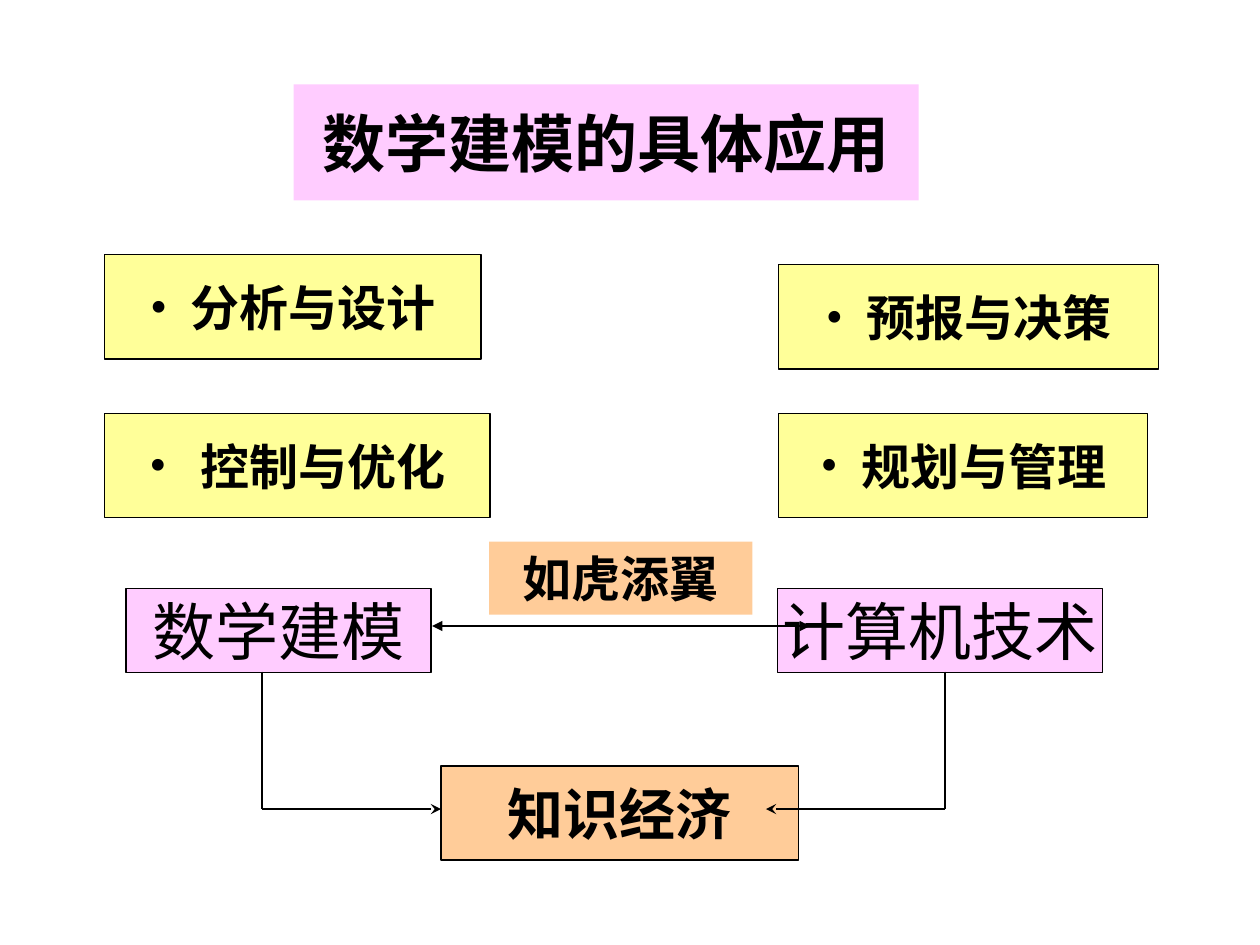
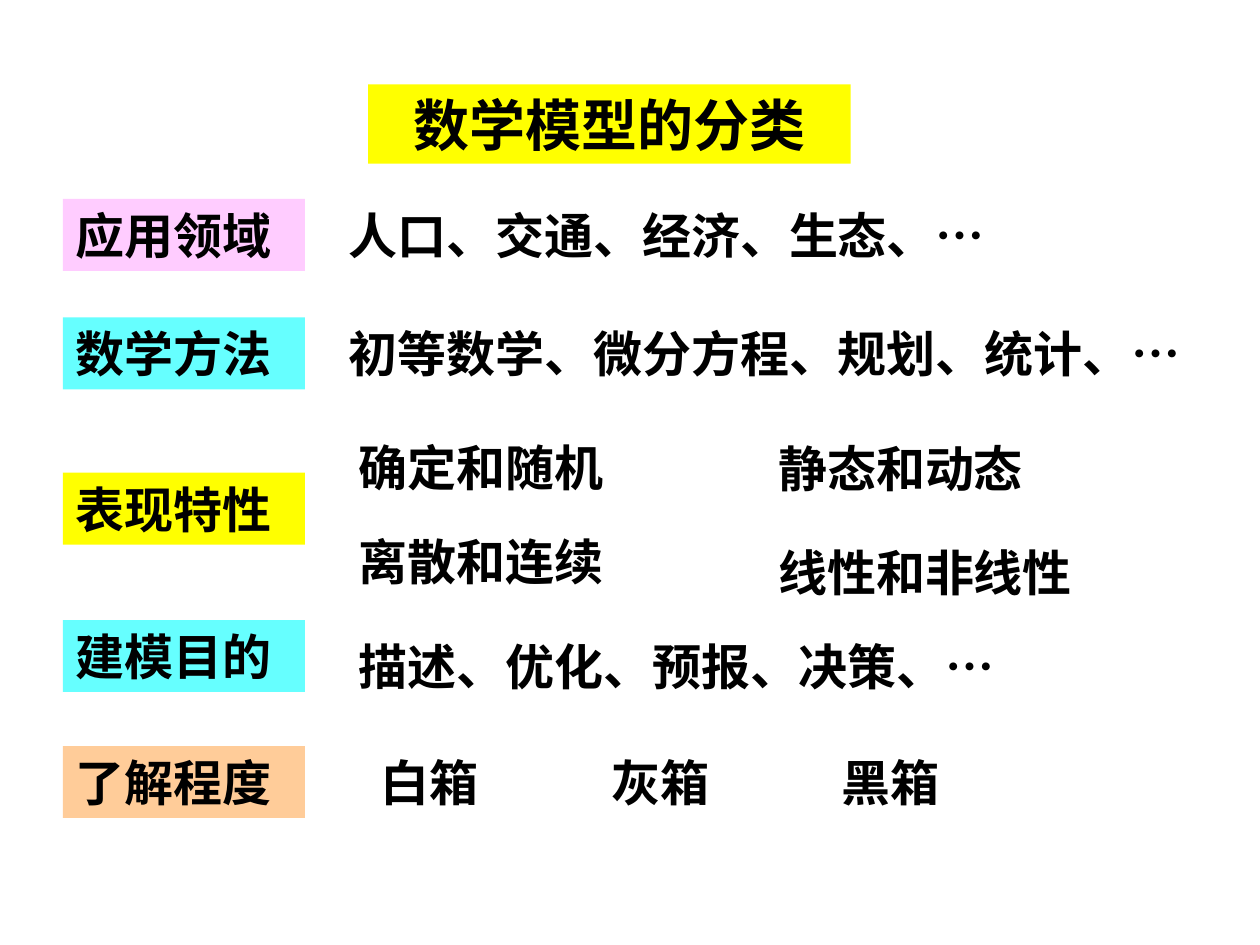
from lxml import etree
from pptx import Presentation
from pptx.dml.color import RGBColor
from pptx.enum.shapes import MSO_CONNECTOR, MSO_SHAPE
from pptx.enum.text import MSO_ANCHOR, MSO_AUTO_SIZE, PP_ALIGN
from pptx.oxml.ns import qn
from pptx.util import Cm, Pt

RECT, LINE = MSO_SHAPE.RECTANGLE, MSO_CONNECTOR.STRAIGHT
MID, FIXED = MSO_ANCHOR.MIDDLE, MSO_AUTO_SIZE.NONE
LEFT, CENTER = PP_ALIGN.LEFT, PP_ALIGN.CENTER

BLACK = RGBColor(0x00, 0x00, 0x00)
PINK = RGBColor(0xFF, 0xCC, 0xFF)
CREAM = RGBColor(0xFF, 0xFF, 0x99)
PEACH = RGBColor(0xFF, 0xCC, 0x99)
YELLOW = RGBColor(0xFF, 0xFF, 0x00)
CYAN = RGBColor(0x66, 0xFF, 0xFF)

HAN, ROMAN = "Noto Sans CJK SC", "Times New Roman"
EDGE = Pt(0.75)

# Applications: text, left, top, width, gap after the bullet
USE_H = 2.11
USES = [
    ("分析与设计", 2.11, 5.13, 7.59, 0.82),
    ("预报与决策", 15.7, 5.33, 7.65, 0.82),
    ("控制与优化", 2.11, 8.33, 7.77, 1.03),
    ("规划与管理", 15.7, 8.33, 7.44, 0.82),
]
# Diagram: text, place, fill, size, bold, outlined
NODES = [
    ("数学建模", (2.54, 11.86, 6.15, 1.7), PINK, 36, False, True),
    ("计算机技术", (15.67, 11.86, 6.55, 1.7), PINK, 36, False, True),
    ("知识经济", (8.89, 15.44, 7.21, 1.9), PEACH, 32, True, True),
    ("如虎添翼", (9.86, 10.92, 5.31, 1.47), PEACH, 28, True, False),
]
# Lines: start, end, arrowheads
LINK = ((8.71, 12.62), (16.33, 12.62), {"headEnd": "triangle", "tailEnd": "triangle"})
DROP, FLOOR = 13.54, 16.31
ELBOWS = [(5.28, 8.89), (19.05, 15.44)]

# Classes: label, top, fill, then texts as (text, left, top, width)
LABEL_X, LABEL_W, ROW_H = 1.27, 4.88, 1.45
KINDS = [
    ("应用领域", 4.01, PINK, [("人口、交通、经济、生态、…", 6.78, 4.01, 14.17)]),
    ("数学方法", 6.4, CYAN, [("初等数学、微分方程、规划、统计、…", 6.78, 6.4, 17.58)]),
    ("表现特性", 9.53, YELLOW, [
        ("确定和随机", 6.98, 8.69, 5.51), ("静态和动态", 15.44, 8.71, 5.51),
        ("离散和连续", 6.98, 10.59, 5.51), ("线性和非线性", 15.44, 10.8, 6.78)]),
    ("建模目的", 12.5, CYAN, [("描述、优化、预报、决策、…", 6.98, 12.7, 17.15)]),
    ("了解程度", 15.04, PEACH, [
        (word, 7.42 + 4.65 * i, 15.04, 2.74)
        for i, word in enumerate(["白箱", "灰箱", "黑箱"])]),
]


def put(item, values):
    for key, value in values.items():
        setattr(item, key, value)


def write(shape, text, size=28, bold=True, align=CENTER, face=ROMAN, pad=0, gap=0):
    """Fill a shape with one formatted line; a gap adds a bullet."""
    frame = shape.text_frame
    put(frame, {"text": text, "auto_size": FIXED, "word_wrap": True,
                "vertical_anchor": MID, "margin_left": Cm(pad), "margin_right": Cm(pad),
                "margin_top": 0, "margin_bottom": 0})
    para = frame.paragraphs[0]
    put(para, {"alignment": align, "space_before": Pt(0), "line_spacing": 1.0})
    if gap:
        props = para._p.get_or_add_pPr()
        props.set("marL", str(Cm(gap)))
        props.set("indent", str(-Cm(gap)))
        etree.SubElement(props, qn("a:buFont")).set("typeface", ROMAN)
        etree.SubElement(props, qn("a:buChar")).set("char", "•")
    run = para.runs[0]
    put(run.font, {"size": Pt(size), "bold": bold, "name": face})
    run.font.color.rgb = BLACK
    props = run._r.get_or_add_rPr()
    props.set("lang", "zh-CN")
    east = etree.Element(qn("a:ea"))
    east.set("typeface", HAN)
    props.find(qn("a:latin")).addnext(east)


def paint(shape, fill):
    shape.fill.solid()
    shape.fill.fore_color.rgb = fill


def box(slide, text, place, fill, edge=False, **style):
    shape = slide.shapes.add_shape(RECT, *map(Cm, place))
    shape.shadow.inherit = False
    paint(shape, fill)
    if edge:
        shape.line.color.rgb = BLACK
        shape.line.width = EDGE
    else:
        shape.line.fill.background()
    write(shape, text, **style)


def line(slide, start, end, heads):
    link = slide.shapes.add_connector(LINE, *map(Cm, start + end))
    link.line.color.rgb = BLACK
    link.line.width = EDGE
    stroke = link.line._get_or_add_ln()
    for tag, kind in heads.items():
        etree.SubElement(stroke, qn("a:" + tag)).set("type", kind)
    etree.SubElement(link._element.spPr, qn("a:effectLst"))


def page(deck, text, place, fill, **style):
    slide = deck.slides.add_slide(deck.slide_layouts[5])
    title = slide.shapes.title
    put(title, dict(zip(("left", "top", "width", "height"), map(Cm, place))))
    paint(title, fill)
    write(title, text, **style)
    return slide


def main():
    deck = Presentation()
    put(deck, {"slide_width": Cm(25.4), "slide_height": Cm(19.05)})

    # Applications
    slide = page(deck, "数学建模的具体应用", (5.92, 1.7, 12.6, 2.34), PINK,
                 size=36, face=HAN)
    for text, x, y, w, gap in USES:
        box(slide, text, (x, y, w, USE_H), CREAM, edge=True, gap=gap)
    for text, place, fill, size, bold, edge in NODES:
        box(slide, text, place, fill, edge=edge, size=size, bold=bold)
    for x, end in ELBOWS:
        line(slide, (x, DROP), (x, FLOOR), {})
        line(slide, (x, FLOOR), (end, FLOOR), {"tailEnd": "stealth"})
    line(slide, *LINK)

    # Classes
    slide = page(deck, "数学模型的分类", (7.42, 1.7, 9.73, 1.6), YELLOW, size=32)
    side = {"align": LEFT, "pad": 0.25}
    for label, top, fill, texts in KINDS:
        box(slide, label, (LABEL_X, top, LABEL_W, ROW_H), fill, **side)
        for text, x, y, w in texts:
            area = slide.shapes.add_textbox(*map(Cm, (x, y, w, ROW_H)))
            write(area, text, **side)

    deck.save("out.pptx")


if __name__ == "__main__":
    main()
